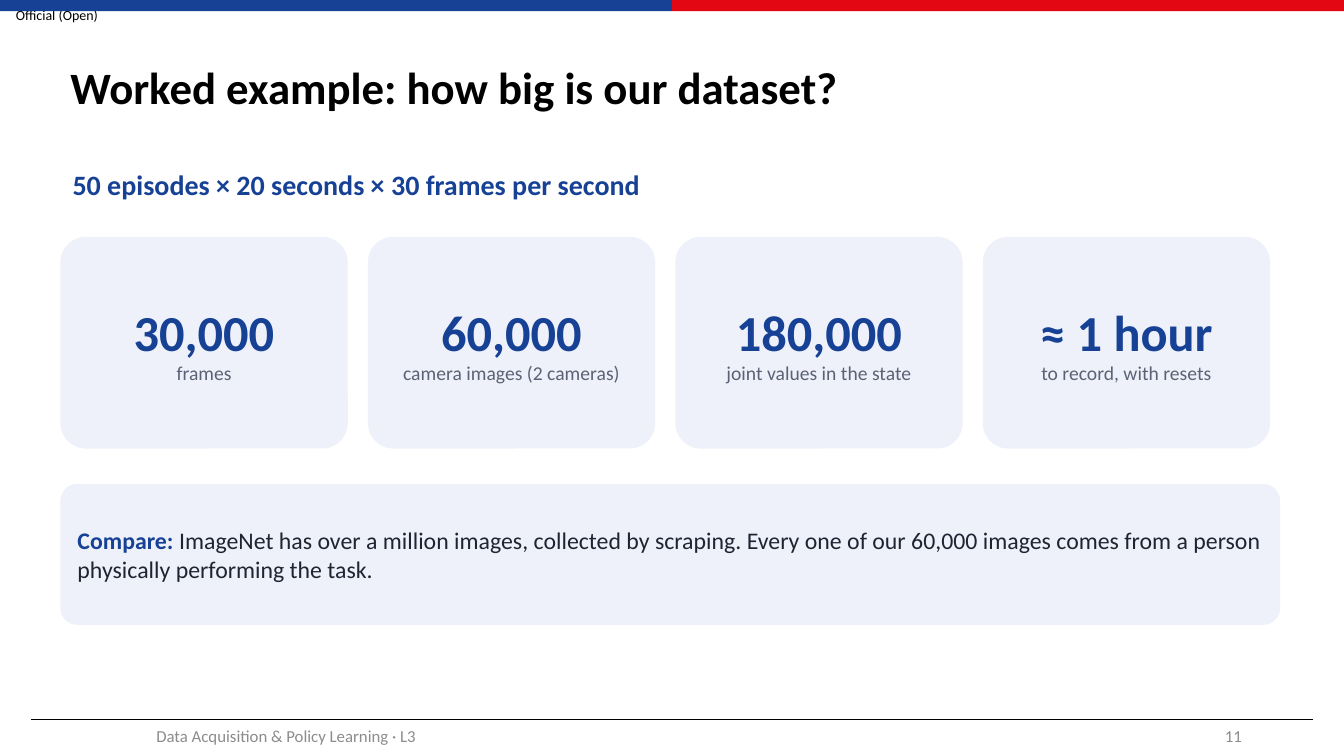
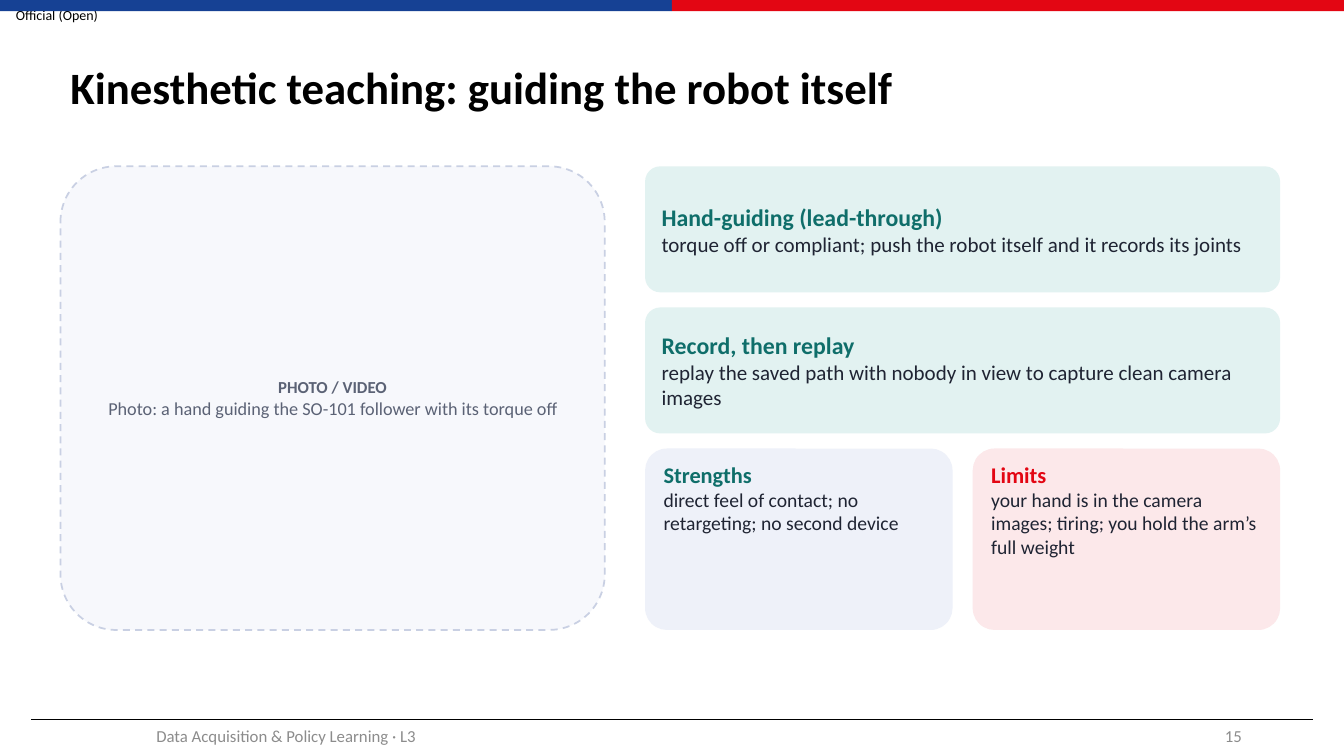
import dataclasses

import pptx
import pptx.dml.color
import pptx.enum.dml
import pptx.enum.shapes
import pptx.enum.text
import pptx.oxml.ns
import pptx.util
from lxml import etree

Pt = pptx.util.Pt
Align = pptx.enum.text.PP_ALIGN
Anchor = pptx.enum.text.MSO_ANCHOR
Preset = pptx.enum.shapes.MSO_SHAPE


@dataclasses.dataclass(frozen=True)
class Theme:
    # Colours
    black: str = "000000"
    ink: str = "1F2433"
    muted: str = "5B6275"
    footer: str = "8C8C8C"
    blue: str = "164194"
    red: str = "E30613"
    teal: str = "0F6E6A"
    pale_blue: str = "EEF1F9"
    pale_teal: str = "E2F2F1"
    pale_red: str = "FCE8EA"
    media: str = "F7F8FC"
    media_border: str = "C9D0E3"
    # Type
    font: str = "Calibri"
    label_size: float = 10
    footer_size: float = 12
    caption_size: float = 13
    small_size: float = 14
    body_size: float = 15
    heading_small_size: float = 16
    heading_size: float = 17
    lead_size: float = 20
    title_size: float = 32
    figure_size: float = 36


THEME = Theme()

# Page geometry in points
WIDTH, HEIGHT = 960, 540
LEFT = 43.2
CONTENT_WIDTH = 871.2
GAP = 14.4
BOX_MARGINS = (7.2, 3.6)
CARD_MARGINS = (8.64, 4.32)


def rgb(color):
    return pptx.dml.color.RGBColor.from_string(color)


def run(text, size, color, bold=False):
    """Describe one run of text."""
    return text, size, color, bold


def write(shape, paragraphs, align=Align.LEFT, anchor=Anchor.MIDDLE, margins=BOX_MARGINS):
    """Fill a shape with paragraphs, each a list of runs."""
    frame = shape.text_frame
    frame.word_wrap = True
    frame.vertical_anchor = anchor
    frame.margin_left = frame.margin_right = Pt(margins[0])
    frame.margin_top = frame.margin_bottom = Pt(margins[1])
    for index, runs in enumerate(paragraphs):
        paragraph = frame.add_paragraph() if index else frame.paragraphs[0]
        paragraph.alignment = align
        for text, size, color, bold in runs:
            text_run = paragraph.add_run()
            text_run.text = text
            text_run.font.name = THEME.font
            text_run.font.size = Pt(size)
            text_run.font.bold = bold
            text_run.font.color.rgb = rgb(color)


def add_text(slide, left, top, width, height, text_run, **style):
    box = slide.shapes.add_textbox(Pt(left), Pt(top), Pt(width), Pt(height))
    write(box, [[text_run]], **style)
    return box


def add_block(slide, preset, left, top, width, height, fill):
    shape = slide.shapes.add_shape(preset, Pt(left), Pt(top), Pt(width), Pt(height))
    shape.shadow.inherit = False
    shape.fill.solid()
    shape.fill.fore_color.rgb = rgb(fill)
    shape.line.fill.background()
    return shape


def add_card(slide, left, top, width, height, fill, paragraphs, **style):
    card = add_block(slide, Preset.ROUNDED_RECTANGLE, left, top, width, height, fill)
    card.adjustments[0] = 0.12
    write(card, paragraphs, margins=CARD_MARGINS, **style)
    return card


def add_rule(slide, left, right, top):
    rule = slide.shapes.add_connector(
        pptx.enum.shapes.MSO_CONNECTOR.STRAIGHT, Pt(left), Pt(top), Pt(right), Pt(top))
    rule.line.color.rgb = rgb(THEME.black)
    rule.line.width = Pt(0.5)
    etree.SubElement(rule._element.spPr, pptx.oxml.ns.qn("a:effectLst"))


def add_page(presentation, title, number):
    """Add a slide with the shared bands, title and footer."""
    slide = presentation.slides.add_slide(presentation.slide_layouts[6])
    # Classification label and top bands
    add_text(slide, 0, 0, 81.4, 21, run("Official (Open)", THEME.label_size, THEME.black),
             align=Align.CENTER, margins=(0, 0))
    for index, color in enumerate((THEME.blue, THEME.red)):
        add_block(slide, Preset.RECTANGLE, index * WIDTH / 2, 0, WIDTH / 2, 7.9, color)
    # Title
    heading = add_text(slide, LEFT, 21.6, 870, 85,
                       run(title, THEME.title_size, THEME.black, True))
    heading.text_frame.paragraphs[0].line_spacing = 0.9
    # Footer
    add_rule(slide, 22.3, 938, 514)
    footers = (
        (42.5, 324, "Data Acquisition & Policy Learning · L3", Align.CENTER),
        (678.2, 216, str(number), Align.RIGHT),
    )
    for left, width, text, align in footers:
        add_text(slide, left, 511.2, width, 28.8,
                 run(text, THEME.footer_size, THEME.footer), align=align)
    return slide


def build_dataset(presentation):
    slide = add_page(presentation, "Worked example: how big is our dataset?", 11)
    add_text(slide, LEFT, 115.2, CONTENT_WIDTH, 36,
             run("50 episodes × 20 seconds × 30 frames per second",
                 THEME.lead_size, THEME.blue, True),
             anchor=Anchor.TOP, margins=CARD_MARGINS)
    # Key figures
    figures = (
        ("30,000", "frames"),
        ("60,000", "camera images (2 cameras)"),
        ("180,000", "joint values in the state"),
        ("≈ 1 hour", "to record, with resets"),
    )
    width = 205.2
    for index, (figure, caption) in enumerate(figures):
        add_card(slide, LEFT + index * (width + GAP), 169.2, width, 151.2, THEME.pale_blue,
                 [[run(figure, THEME.figure_size, THEME.blue, True)],
                  [run(caption, THEME.small_size, THEME.muted)]],
                 align=Align.CENTER)
    # Comparison
    comparison = ("ImageNet has over a million images, collected by scraping. Every one of our "
                  "60,000 images comes from a person physically performing the task.")
    add_card(slide, LEFT, 345.6, CONTENT_WIDTH, 100.8, THEME.pale_blue,
             [[run("Compare: ", THEME.heading_size, THEME.blue, True),
               run(comparison, THEME.heading_size, THEME.ink)]])


def build_teaching(presentation):
    slide = add_page(presentation, "Kinesthetic teaching: guiding the robot itself", 15)
    top = 118.8
    # Media frame
    media = add_card(
        slide, LEFT, top, 388.8, 331.2, THEME.media,
        [[run("PHOTO / VIDEO", THEME.footer_size, THEME.muted, True)],
         [run("Photo: a hand guiding the SO-101 follower with its torque off",
              THEME.caption_size, THEME.muted)]],
        align=Align.CENTER)
    media.line.color.rgb = rgb(THEME.media_border)
    media.line.width = Pt(1.25)
    media.line.dash_style = pptx.enum.dml.MSO_LINE.DASH
    # Methods
    methods = (
        ("Hand-guiding (lead-through)",
         "torque off or compliant; push the robot itself and it records its joints"),
        ("Record, then replay",
         "replay the saved path with nobody in view to capture clean camera images"),
    )
    left, width, height, step = 460.8, 453.6, 90, 100.8
    for index, (heading, body) in enumerate(methods):
        add_card(slide, left, top + index * step, width, height, THEME.pale_teal,
                 [[run(heading, THEME.heading_size, THEME.teal, True)],
                  [run(body, THEME.body_size, THEME.ink)]])
    # Strengths and limits
    verdicts = (
        ("Strengths", "direct feel of contact; no retargeting; no second device",
         THEME.teal, THEME.pale_blue),
        ("Limits", "your hand is in the camera images; tiring; you hold the arm’s full weight",
         THEME.red, THEME.pale_red),
    )
    half = (width - GAP) / 2
    for index, (heading, body, color, fill) in enumerate(verdicts):
        add_card(slide, left + index * (half + GAP), top + len(methods) * step, half, 129.6, fill,
                 [[run(heading, THEME.heading_small_size, color, True)],
                  [run(body, THEME.small_size, THEME.ink)]],
                 anchor=Anchor.TOP)


def main():
    presentation = pptx.Presentation()
    presentation.slide_width, presentation.slide_height = Pt(WIDTH), Pt(HEIGHT)
    build_dataset(presentation)
    build_teaching(presentation)
    presentation.save("out.pptx")


if __name__ == "__main__":
    main()
